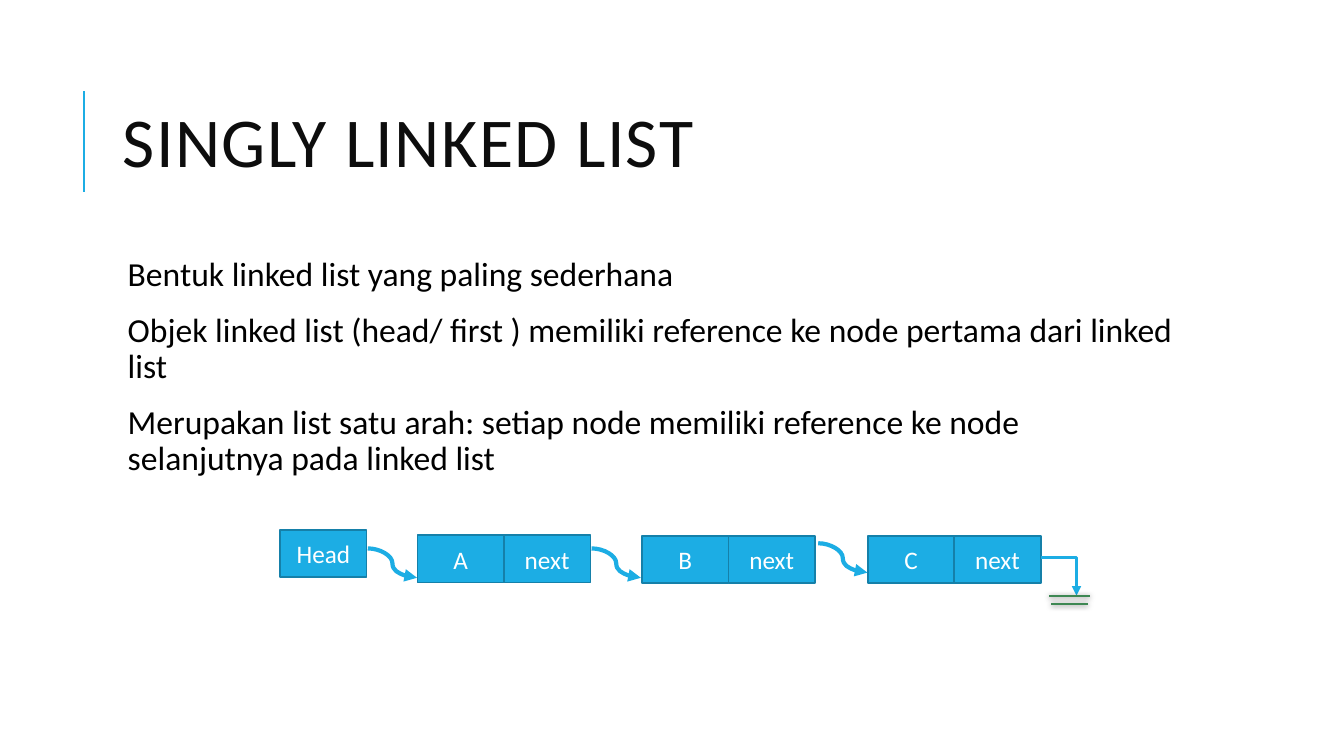
"""Build the slide that explains a singly linked list."""
from lxml.etree import SubElement
from pptx import Presentation
from pptx.dml.color import RGBColor
from pptx.enum.shapes import MSO_CONNECTOR as Route, MSO_SHAPE as Preset
from pptx.enum.text import MSO_ANCHOR as Anchor, PP_ALIGN as Align
from pptx.oxml.ns import qn
from pptx.util import Cm, Pt

TITLE = "SINGLY LINKED LIST"
BODY = [
    "Bentuk linked list yang paling sederhana",
    "Objek linked list (head/ first ) memiliki reference ke node pertama dari linked list",
    "Merupakan list satu arah: setiap node memiliki reference ke node selanjutnya pada linked list",
]
HEAD = ("Head", 7.06, 13.36)
NODES = [("A", 10.52, 13.49), ("B", 16.18, 13.51), ("C", 21.87, 13.51)]
LINKS = [(9.27, 13.82), (14.91, 13.82), (20.62, 13.69)]
GROUND = [(26.44, 27.46, 15.01), (26.49, 27.41, 15.21)]
CELL_WIDTH, CELL_HEIGHT = 2.18, 1.19
LINK_WIDTH, LINK_HEIGHT = 1.24, 0.74
BLUE, DARK_BLUE, GREEN = "1CADE4", "1580A9", "3E8853"


def color(value):
    return RGBColor.from_string(value)


def write(frame, *texts, size, ink, align=Align.LEFT, anchor=Anchor.TOP,
          line=1.0, before=0, after=0, spacing=0):
    frame.word_wrap = True
    frame.vertical_anchor = anchor
    for index, text in enumerate(texts):
        paragraph = frame.add_paragraph() if index else frame.paragraphs[0]
        paragraph.alignment = align
        paragraph.line_spacing = line
        paragraph.space_before, paragraph.space_after = Pt(before), Pt(after)
        run = paragraph.add_run()
        run.text = text
        run.font.name, run.font.size = "Calibri", Pt(size)
        run.font.color.rgb = color(ink)
        if spacing:
            run.font._element.set("spc", str(spacing))


def add_cell(shapes, text, left, top):
    cell = shapes.add_shape(Preset.RECTANGLE, Cm(left), Cm(top), Cm(CELL_WIDTH), Cm(CELL_HEIGHT))
    cell.shadow.inherit = False
    cell.fill.solid()
    cell.fill.fore_color.rgb = color(BLUE)
    cell.line.color.rgb = color(DARK_BLUE)
    cell.line.width = Pt(1.25)
    write(cell.text_frame, text, size=18, ink="FFFFFF", align=Align.CENTER, anchor=Anchor.MIDDLE)


def add_line(start, end, ink, width, route=Route.STRAIGHT, arrow=False, shadow=False):
    connector = slide.shapes.add_connector(route, *map(Cm, start + end))
    connector.line.color.rgb = color(ink)
    connector.line.width = Pt(width)
    properties = connector._element.spPr
    if arrow:
        SubElement(properties.find(qn("a:ln")), qn("a:tailEnd"), type="triangle")
    effects = SubElement(properties, qn("a:effectLst"))
    if shadow:
        outer = SubElement(effects, qn("a:outerShdw"), blurRad=str(Pt(4)), dist=str(Pt(1)),
                           dir="5400000", rotWithShape="0")
        black = SubElement(outer, qn("a:srgbClr"), val="000000")
        SubElement(black, qn("a:alpha"), val="50000")
    return connector


presentation = Presentation()
presentation.slide_width, presentation.slide_height = Cm(33.87), Cm(19.05)
slide = presentation.slides.add_slide(presentation.slide_layouts[5])

add_line((2.11, 4.83), (2.11, 2.29), BLUE, 1.5)
title = slide.shapes.title
title.left, title.top, title.width, title.height = map(Cm, (2.84, 1.63, 27, 4.17))
write(title.text_frame, TITLE, size=50, ink="0D0D0D", anchor=Anchor.MIDDLE, line=0.8, spacing=100)

body = slide.shapes.add_textbox(*map(Cm, (2.84, 6.35, 27, 11.18))).text_frame
body.margin_left = Cm(0.38)
body.margin_top = body.margin_right = body.margin_bottom = Cm(0.13)
write(body, *BODY, size=24, ink="000000", line=0.9, before=12, after=2)

for name, left, top in NODES:
    node = slide.shapes.add_group_shape()
    for column, text in enumerate((name, "next")):
        add_cell(node.shapes, text, left + column * CELL_WIDTH, top)
add_cell(slide.shapes, *HEAD)

for left, top in LINKS:
    add_line((left, top), (left + LINK_WIDTH, top + LINK_HEIGHT), BLUE, 3, Route.CURVE, arrow=True)
last_link = add_line((26.24, 14.05), (27.13, 15.01), BLUE, 2.25, Route.ELBOW, arrow=True)
last_link._element.spPr.find(qn("a:prstGeom")).set("prst", "bentConnector2")
for left, right, top in GROUND:
    add_line((left, top), (right, top), GREEN, 1.5, shadow=True)

presentation.save("out.pptx")
